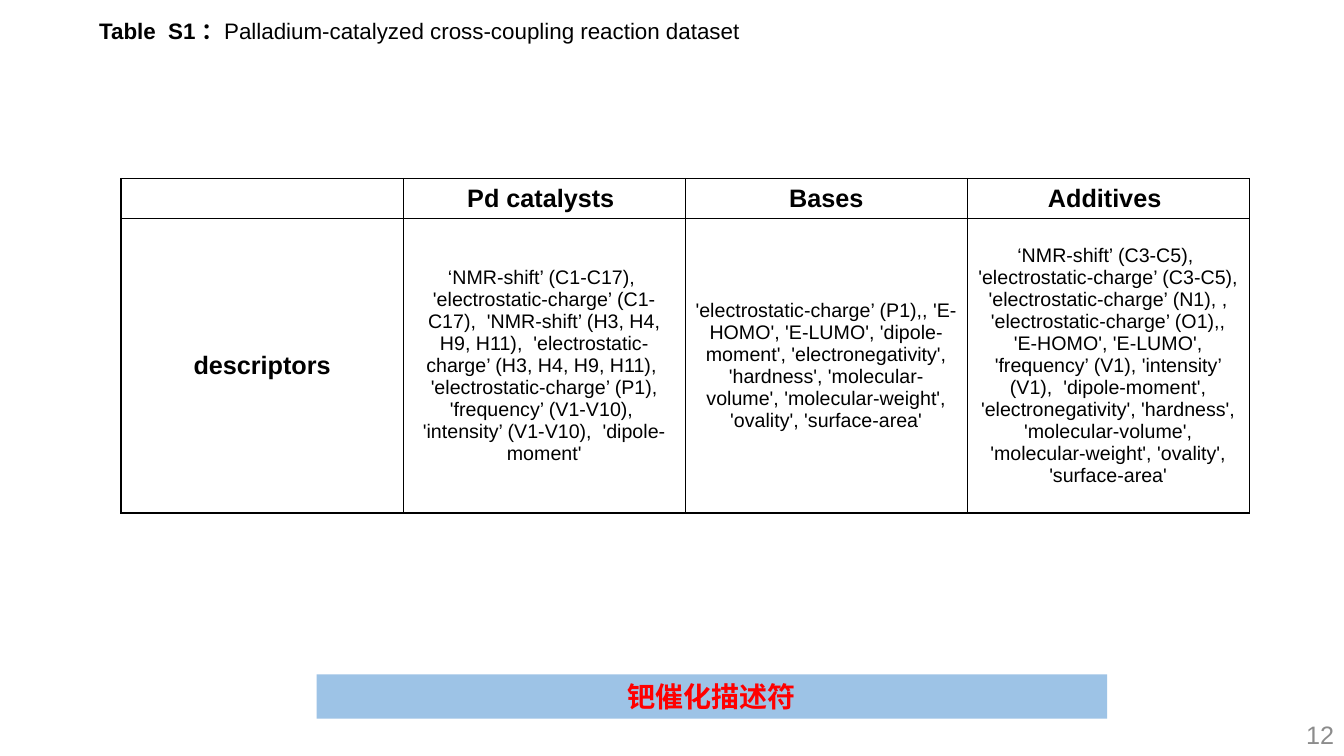
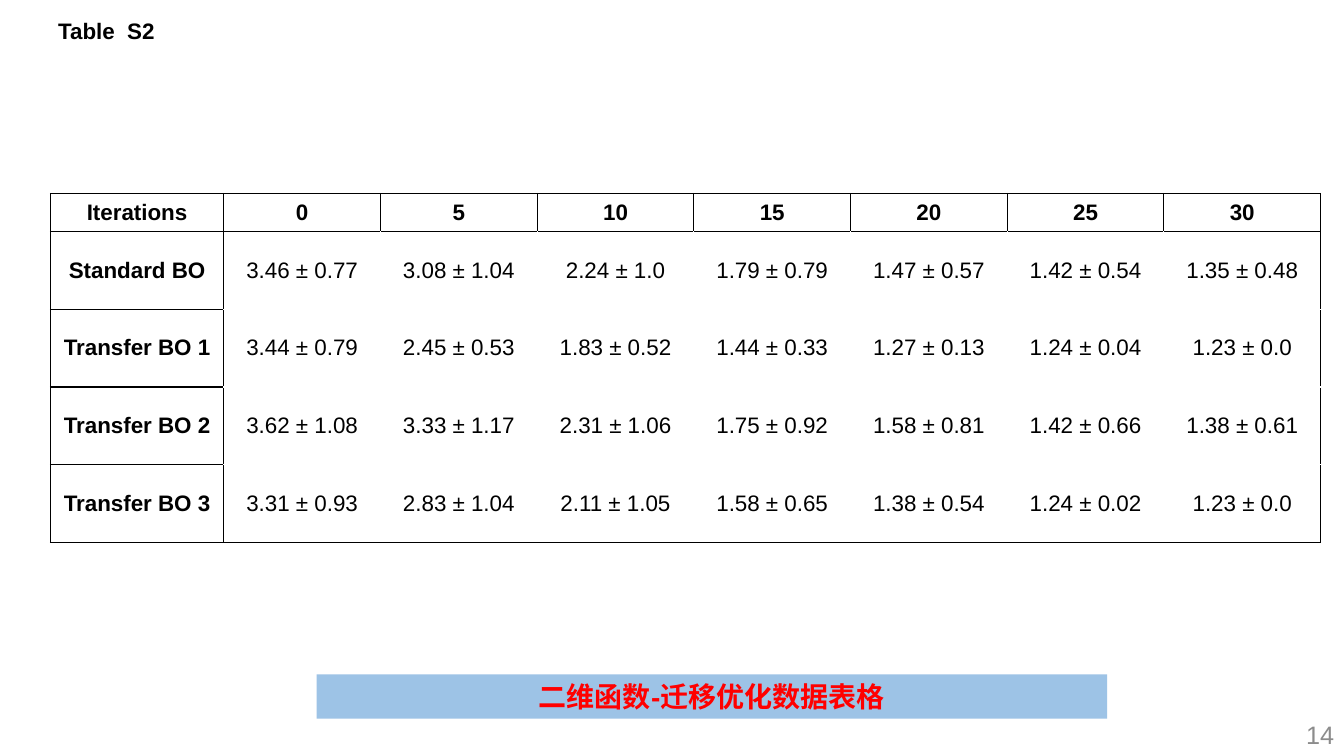
from lxml.etree import SubElement
from pptx import Presentation
from pptx.dml.color import RGBColor as Rgb
from pptx.enum.shapes import MSO_SHAPE as Shape
from pptx.enum.text import MSO_ANCHOR as Anchor, MSO_AUTO_SIZE as Fit, PP_ALIGN as Align
from pptx.oxml.ns import qn
from pptx.util import Pt

UNIT = 9144
HUES = {
    "ink": "000000",
    "paper": "FFFFFF",
    "band": "9DC3E6",
    "alert": "FF0000",
    "muted": "8C8C8C",
}

PALLADIUM = [
    ["", "Pd catalysts ", "Bases", "Additives "],
    [
        "descriptors",
        "‘NMR-shift’ (C1-C17),  'electrostatic-charge’ (C1-C17),  "
        "'NMR-shift’ (H3, H4, H9, H11),  'electrostatic-charge’ (H3, H4, H9, H11),  "
        "'electrostatic-charge’ (P1), 'frequency’ (V1-V10),  'intensity’ (V1-V10),  "
        "'dipole-moment'",
        "'electrostatic-charge’ (P1),, 'E-HOMO', 'E-LUMO', 'dipole-moment', "
        "'electronegativity', 'hardness', 'molecular-volume', 'molecular-weight', "
        "'ovality', 'surface-area'",
        "‘NMR-shift’ (C3-C5),  'electrostatic-charge’ (C3-C5), "
        "'electrostatic-charge’ (N1), , 'electrostatic-charge’ (O1),, 'E-HOMO', "
        "'E-LUMO', 'frequency’ (V1), 'intensity’ (V1),  'dipole-moment', "
        "'electronegativity', 'hardness', 'molecular-volume', 'molecular-weight', "
        "'ovality', 'surface-area'",
    ],
]

TRANSFER = [
    ["Iterations", "0", "5", "10", "15", "20", "25", "30"],
    ["Standard BO", "3.46 ± 0.77", "3.08 ± 1.04", "2.24 ± 1.0", "1.79 ± 0.79",
     "1.47 ± 0.57", "1.42 ± 0.54", "1.35 ± 0.48"],
    ["Transfer BO 1", "3.44 ± 0.79", "2.45 ± 0.53", "1.83 ± 0.52", "1.44 ± 0.33",
     "1.27 ± 0.13", "1.24 ± 0.04", "1.23 ± 0.0"],
    ["Transfer BO 2", "3.62 ± 1.08", "3.33 ± 1.17", "2.31 ± 1.06", "1.75 ± 0.92",
     "1.58 ± 0.81", "1.42 ± 0.66", "1.38 ± 0.61"],
    ["Transfer BO 3", "3.31 ± 0.93", "2.83 ± 1.04", "2.11 ± 1.05", "1.58 ± 0.65",
     "1.38 ± 0.54", "1.24 ± 0.02", "1.23 ± 0.0"],
]


def px(*spans):
    return [round(span * UNIT) for span in spans]


def put(frame, words, size=16, bold=False, hue="ink", align=Align.CENTER,
        anchor=Anchor.TOP):
    frame.word_wrap = True
    frame.vertical_anchor = anchor
    para = frame.paragraphs[0]
    para.alignment = align
    run = para.add_run()
    run.text = words
    font = run.font
    font.name = "Arial"
    font.size = Pt(size)
    font.bold = bold
    font.color.rgb = Rgb.from_string(HUES[hue])


def edge(cell, sides):
    props = cell._tc.get_or_add_tcPr()
    for spot, (side, hue) in enumerate(sides.items()):
        line = SubElement(props, qn(f"a:ln{side}"), w=str(Pt(1)))
        fill = SubElement(line, qn("a:solidFill"))
        SubElement(fill, qn("a:srgbClr"), val=HUES[hue])
        props.insert(spot, line)


class Deck:
    def __init__(self):
        self.show = Presentation()
        self.show.slide_width, self.show.slide_height = px(1333, 750)

    def page(self, number, topic):
        self.slide = self.show.slides.add_slide(self.show.slide_layouts[5])
        self.band(topic)
        box = self.slide.shapes.add_textbox(*px(1033, 709, 300, 40))
        put(box.text_frame, str(number), size=18, hue="muted", align=Align.RIGHT,
            anchor=Anchor.MIDDLE)

    def band(self, topic):
        bar = self.slide.shapes.add_shape(Shape.RECTANGLE, *px(314, 669, 784, 44))
        bar.shadow.inherit = False
        bar.fill.solid()
        bar.fill.fore_color.rgb = Rgb.from_string(HUES["band"])
        bar.line.fill.background()
        put(bar.text_frame, topic, size=20, bold=True, hue="alert")

    def title(self, width, label, rest=""):
        head = self.slide.shapes.title
        head.left, head.top, head.width, head.height = px(0, 12, width, 37)
        head.text_frame.auto_size = Fit.NONE
        put(head.text_frame, label, bold=True)
        if rest:
            put(head.text_frame, rest)

    def table(self, rows, left, top, width, first, heights, head=16, body=16,
              pad=None, open=False):
        count = len(rows[0])
        frame = self.slide.shapes.add_table(
            len(rows), count, *px(left, top, width, sum(heights)))
        grid = frame.table
        grid.first_row = grid.horz_banding = False
        widths = px(first, *[(width - first) / (count - 1)] * (count - 1))
        for col, span in zip(grid.columns, widths):
            col.width = span
        for row, span in zip(grid.rows, px(*heights)):
            row.height = span
        for r, row in enumerate(rows):
            for c, words in enumerate(row):
                cell = grid.cell(r, c)
                cell.fill.solid()
                cell.fill.fore_color.rgb = Rgb.from_string(HUES["paper"])
                if pad:
                    cell.margin_left, cell.margin_right = px(pad, pad)
                    cell.margin_top = cell.margin_bottom = 0
                cell.vertical_anchor = Anchor.MIDDLE
                label = r == 0 or c == 0
                if words:
                    put(cell.text_frame, words, size=head if label else body,
                        bold=label, anchor=Anchor.MIDDLE)
                solid = label or not open
                dark = {"L": solid or c == 1, "R": solid or c == count - 1,
                        "T": solid or r == 1, "B": solid or r == len(rows) - 1}
                edge(cell, {side: "ink" if on else "paper"
                            for side, on in dark.items()})


def main():
    deck = Deck()
    deck.page(12, "钯催化描述符")
    deck.title(832, "Table  S1 ：", "Palladium-catalyzed cross-coupling reaction dataset")
    deck.table(PALLADIUM, 120, 177, 1119, 280, [40, 292], head=18, body=14)

    deck.page(14, "二维函数-迁移优化数据表格")
    deck.title(211, "Table  S2")
    deck.table(TRANSFER, 50, 192, 1260, 172, [38] + [77] * 4, pad=7, open=True)
    deck.show.save("out.pptx")


if __name__ == "__main__":
    main()
